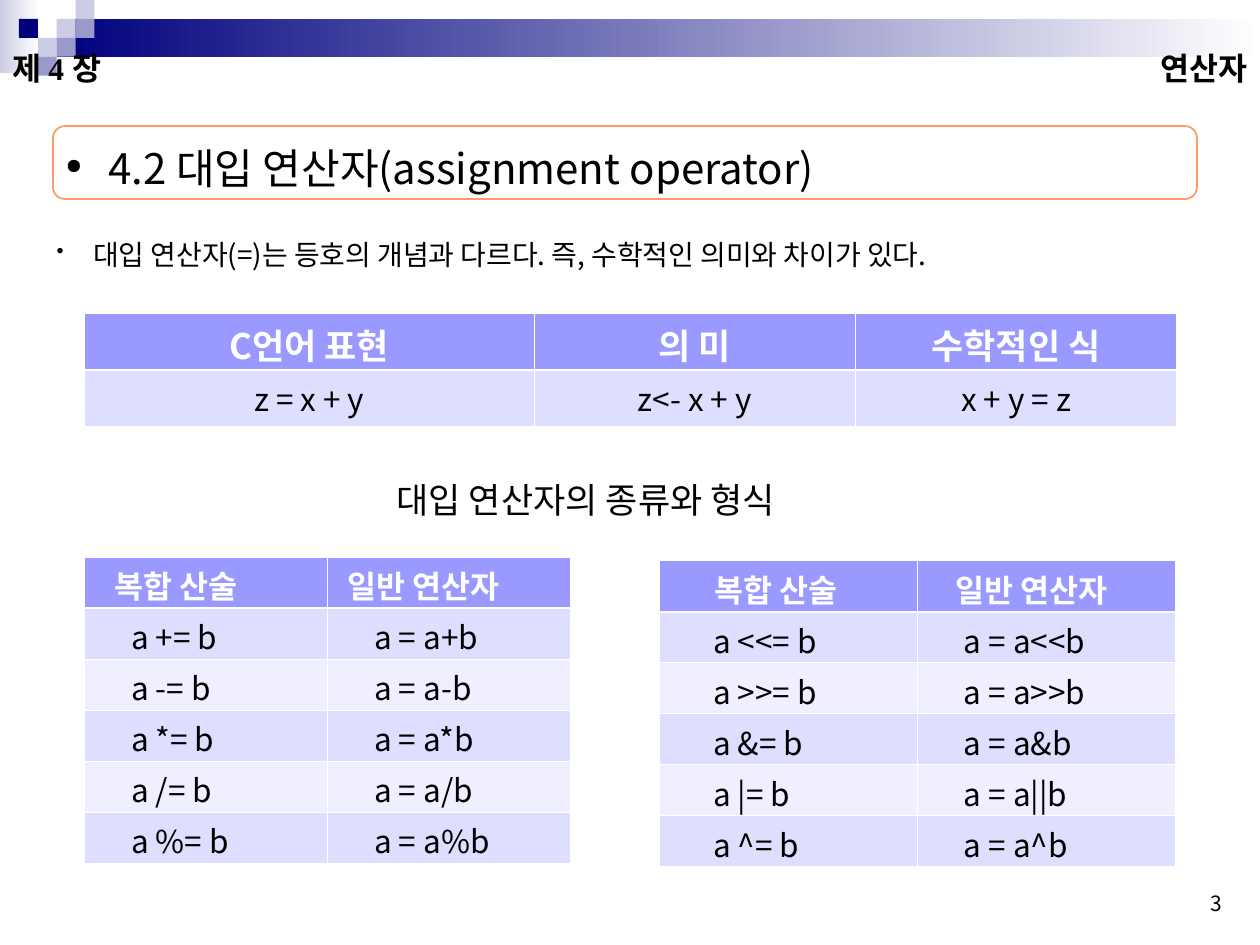
from lxml import etree
from pptx import Presentation
from pptx.dml.color import RGBColor
from pptx.enum.shapes import MSO_SHAPE
from pptx.enum.text import MSO_ANCHOR, PP_ALIGN
from pptx.oxml.ns import qn
from pptx.util import Inches, Pt

RECT, ROUNDED = MSO_SHAPE.RECTANGLE, MSO_SHAPE.ROUNDED_RECTANGLE
TOP, MIDDLE, BOTTOM = MSO_ANCHOR.TOP, MSO_ANCHOR.MIDDLE, MSO_ANCHOR.BOTTOM
LEFT, CENTER, RIGHT = PP_ALIGN.LEFT, PP_ALIGN.CENTER, PP_ALIGN.RIGHT

THEME = {
    "sans": "Noto Sans CJK KR", "serif": "Times New Roman",
    "text": "000000", "white": "FFFFFF", "outline": "FF9966",
    "navy": "00007D", "pale": "CCCCE6", "mid": "9999CC",
    "header": "9999FF", "bands": ("DEDEFF", "EFEFFF"),
    "title": 24, "large": 20, "normal": 18, "body": 16, "small": 12,
    "thin": 0.45, "thick": 1.47,
}

TITLE = "4.2 대입 연산자(assignment operator)"
TITLE_BOX = (0.42, 1, 9.08, 0.58)
STATEMENT = "대입 연산자(=)는 등호의 개념과 다르다. 즉, 수학적인 의미와 차이가 있다."

# left, top, width, height, start colour
GRADIENT_BARS = [(0, 0, 0.31, 0.58, "pale"), (0.45, 0.15, 9.55, 0.3, "navy")]
TILE = 0.15
# column, row, colour on the tile grid
TILES = [(3, 1, "pale"), (4, 0, "pale"), (4, 1, "mid"), (2, 2, "pale"),
         (1, 1, "navy"), (3, 2, "mid"), (2, 3, "mid")]

# text, box, size, font, bold, alignment, anchor, wrap
LABELS = [
    ("3", (7.36, 6.82, 2.44, 0.5), "small", "sans", False, RIGHT, BOTTOM, True),
    ("연산자", (6.5, 0.25, 3.5, 0.58), "normal", "serif", True, RIGHT, MIDDLE, True),
    ("제 4 장", (0, 0.25, 2.17, 0.58), "normal", "serif", True, LEFT, MIDDLE, True),
    ("대입 연산자의 종류와 형식", (3.05, 3.75, 3.25, 0.44), "large", "sans",
     False, LEFT, TOP, False),
]

# Indents are given per column; None centres the columns.
TABLES = [
    {"at": (0.67, 2.49), "columns": (3.57, 2.55, 2.55), "row_height": 0.445,
     "header_size": "large", "header_indents": None, "body_indents": None,
     "rows": [("C언어 표현", "의 미", "수학적인 식"),
              ("z = x + y", "z<- x + y", "x + y = z")]},
    {"at": (0.67, 4.42), "columns": (1.93, 1.93), "row_height": 0.405,
     "header_size": "normal", "header_indents": (0.14, 0.06),
     "body_indents": (0.27, 0.27),
     "rows": [("복합 산술", "일반 연산자"), ("a += b", "a = a+b"),
              ("a -= b", "a = a-b"), ("a *= b", "a = a*b"),
              ("a /= b", "a = a/b"), ("a %= b", "a = a%b")]},
    {"at": (5.23, 4.45), "columns": (2.05, 2.05), "row_height": 0.405,
     "header_size": "normal", "header_indents": (0.34, 0.2),
     "body_indents": (0.33, 0.27),
     "rows": [("복합 산술", "일반 연산자"), ("a <<= b", "a = a<<b"),
              ("a >>= b", "a = a>>b"), ("a &= b", "a = a&b"),
              ("a |= b", "a = a||b"), ("a ^= b", "a = a^b")]},
]


def rgb(name):
    return RGBColor.from_string(THEME.get(name, name))


def inches(values):
    return [Inches(value) for value in values]


def write(paragraph, text, size, font="sans", bold=False, color="text", align=LEFT):
    paragraph.alignment = align
    run = paragraph.add_run()
    run.text = text
    run.font.size = Pt(THEME[size])
    run.font.name = THEME[font]
    run.font.bold = bold
    run.font.color.rgb = rgb(color)
    east_asian = etree.SubElement(run.font._element, qn("a:ea"))
    east_asian.set("typeface", THEME["sans"])


def add_bullet(paragraph, char, percent, indent):
    properties = paragraph._p.get_or_add_pPr()
    properties.set("marL", str(Inches(indent)))
    properties.set("indent", str(-Inches(indent)))
    color = etree.SubElement(properties, qn("a:buClr"))
    etree.SubElement(color, qn("a:srgbClr")).set("val", THEME["text"])
    etree.SubElement(properties, qn("a:buSzPct")).set("val", str(percent * 1000))
    etree.SubElement(properties, qn("a:buChar")).set("char", char)
    paragraph.line_spacing = 1.2
    paragraph.space_before = Pt(0)


def add_block(slide, box, color, fade=False):
    block = slide.shapes.add_shape(RECT, *inches(box))
    block.shadow.inherit = False
    block.line.fill.background()
    if fade:
        block.fill.gradient()
        block.fill.gradient_angle = 0
        for stop, name in zip(block.fill.gradient_stops, (color, "white")):
            stop.color.rgb = rgb(name)
    else:
        block.fill.solid()
        block.fill.fore_color.rgb = rgb(color)


def add_title(slide):
    frame = slide.shapes.add_shape(ROUNDED, *inches(TITLE_BOX))
    frame.shadow.inherit = False
    frame.fill.background()
    frame.line.color.rgb = rgb("outline")
    frame.line.width = Pt(1)
    title = slide.shapes.title
    title.left, title.top, title.width, title.height = inches(TITLE_BOX)
    title.text_frame.vertical_anchor = MIDDLE
    paragraph = title.text_frame.paragraphs[0]
    add_bullet(paragraph, "●", 50, 0.34)
    write(paragraph, TITLE, "title")


def add_text_box(slide, box, anchor=TOP, wrap=True):
    frame = slide.shapes.add_textbox(*inches(box)).text_frame
    frame.word_wrap = wrap
    frame.vertical_anchor = anchor
    return frame.paragraphs[0]


def set_borders(cell, row):
    """Thin white borders, thick between the header and the first body row."""
    properties = cell._tc.get_or_add_tcPr()
    thick_side = {0: "B", 1: "T"}.get(row)
    for side in "LRTB":
        width = THEME["thick" if side == thick_side else "thin"]
        line = etree.SubElement(properties, qn(f"a:ln{side}"), w=str(Pt(width)))
        fill = etree.SubElement(line, qn("a:solidFill"))
        etree.SubElement(fill, qn("a:srgbClr")).set("val", THEME["white"])


def add_operator_table(slide, data):
    rows, columns = data["rows"], data["columns"]
    size = (sum(columns), data["row_height"] * len(rows))
    table = slide.shapes.add_table(len(rows), len(columns),
                                   *inches(data["at"] + size)).table
    for column, width in zip(table.columns, columns):
        column.width = Inches(width)
    for r, texts in enumerate(rows):
        table.rows[r].height = Inches(data["row_height"])
        header = r == 0
        indents = data["header_indents" if header else "body_indents"]
        for c, text in enumerate(texts):
            cell = table.cell(r, c)
            set_borders(cell, r)
            cell.fill.solid()
            cell.fill.fore_color.rgb = rgb("header" if header
                                           else THEME["bands"][(r - 1) % 2])
            cell.margin_left = Inches(0.1 + (indents[c] if indents else 0))
            cell.margin_top, cell.margin_bottom = Inches(0.04), 0
            write(cell.text_frame.paragraphs[0], text,
                  data["header_size"] if header else "normal", bold=header,
                  color="white" if header else "text",
                  align=LEFT if indents else CENTER)


def main():
    deck = Presentation()
    deck.slide_width, deck.slide_height = Inches(10), Inches(7.5)
    slide = deck.slides.add_slide(deck.slide_layouts[5])
    for *box, color in GRADIENT_BARS:
        add_block(slide, box, color, fade=True)
    for column, row, color in TILES:
        add_block(slide, (column * TILE, row * TILE, TILE, TILE), color)
    add_title(slide)
    statement = add_text_box(slide, (0.35, 1.78, 8.19, 0.42))
    add_bullet(statement, "•", 75, 0.29)
    write(statement, STATEMENT, "body")
    for text, box, size, font, bold, align, anchor, wrap in LABELS:
        write(add_text_box(slide, box, anchor, wrap), text, size, font, bold,
              align=align)
    for data in TABLES:
        add_operator_table(slide, data)
    deck.save("out.pptx")


if __name__ == "__main__":
    main()
